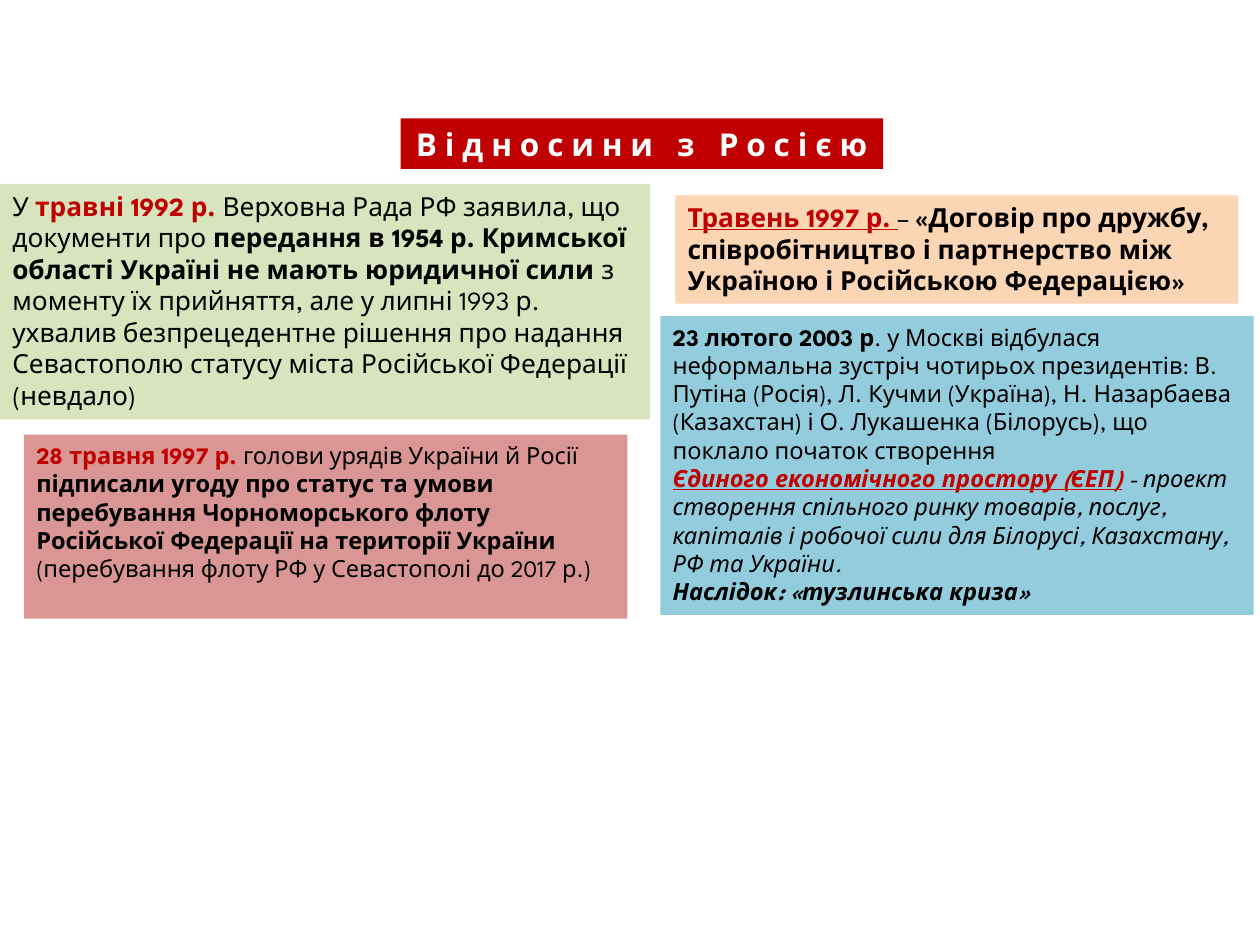
"""Build a slide on the relations between Ukraine and Russia."""
import dataclasses

import pptx
import pptx.dml.color
import pptx.enum.shapes
import pptx.enum.text
import pptx.util

Inches = pptx.util.Inches


@dataclasses.dataclass(frozen=True)
class Theme:
    font: str = "League Spartan"
    text: str = "000000"
    light: str = "FFFFFF"
    accent: str = "C00000"
    green: str = "D7E4BD"
    rose: str = "D99694"
    peach: str = "FCD5B5"
    blue: str = "93CDDD"
    title_size: float = 18
    large_size: float = 15
    body_size: float = 13.5
    title_spacing: int = 450


class SlideBuilder:
    def __init__(self, slide, theme):
        self.slide = slide
        self.theme = theme

    def panel(self, left, top, width, height, fill):
        panel = self.slide.shapes.add_shape(
            pptx.enum.shapes.MSO_SHAPE.RECTANGLE,
            Inches(left), Inches(top), Inches(width), Inches(height))
        panel.shadow.inherit = False
        panel.fill.solid()
        panel.fill.fore_color.rgb = pptx.dml.color.RGBColor.from_string(fill)
        panel.line.fill.background()
        frame = panel.text_frame
        frame.word_wrap = True
        frame.vertical_anchor = pptx.enum.text.MSO_ANCHOR.TOP
        return frame

    def paragraph(self, paragraph, runs, size, color, align):
        paragraph.alignment = align
        paragraph.font.name = self.theme.font
        paragraph.font.size = pptx.util.Pt(size)
        for wording, marks in runs:
            run = paragraph.add_run()
            run.text = wording
            run.font.bold = "b" in marks
            run.font.italic = "i" in marks
            run.font.underline = "u" in marks
            run.font.color.rgb = pptx.dml.color.RGBColor.from_string(
                self.theme.accent if "a" in marks else color)

    def title(self, box, wording):
        frame = self.panel(*box, self.theme.accent)
        heading = frame.paragraphs[0]
        self.paragraph(heading, [(wording, "b")], self.theme.title_size,
                       self.theme.light, pptx.enum.text.PP_ALIGN.CENTER)
        properties = heading.runs[0]._r.get_or_add_rPr()
        properties.set("spc", str(self.theme.title_spacing))

    def event(self, box, fill, size, paragraphs):
        frame = self.panel(*box, fill)
        for index, runs in enumerate(paragraphs):
            paragraph = frame.add_paragraph() if index else frame.paragraphs[0]
            self.paragraph(paragraph, runs, size, self.theme.text,
                           pptx.enum.text.PP_ALIGN.LEFT)


def main():
    theme = Theme()
    presentation = pptx.Presentation()
    presentation.slide_width = Inches(10)
    presentation.slide_height = Inches(7.5)
    slide = presentation.slides.add_slide(presentation.slide_layouts[6])
    builder = SlideBuilder(slide, theme)

    builder.title((3.18, 0.94, 3.83, 0.4), "Відносини з Росією")
    builder.event((0, 1.46, 5.16, 1.87), theme.green, theme.large_size, [[
        ("У ", ""),
        ("травні 1992 р. ", "ab"),
        ("Верховна Рада РФ заявила, що документи про ", ""),
        ("передання в 1954 р. Кримської області Україні "
         "не мають юридичної сили ", "b"),
        ("з моменту їх прийняття, але у липні 1993 р. ухвалив "
         "безпрецедентне рішення про надання Севастополю статусу міста "
         "Російської Федерації (невдало)", ""),
    ]])
    builder.event((0.19, 3.45, 4.79, 1.46), theme.rose, theme.body_size, [[
        ("28 травня 1997 р. ", "ab"),
        ("голови урядів України й Росії ", ""),
        ("підписали угоду про статус та умови перебування Чорноморського "
         "флоту Російської Федерації на території України ", "b"),
        ("(перебування флоту РФ у Севастополі до 2017 р.)", ""),
    ]])
    builder.event((5.36, 1.55, 4.47, 0.86), theme.peach, theme.large_size, [[
        ("Травень 1997 р. ", "abu"),
        ("– ", ""),
        ("«Договір про дружбу, співробітництво і партнерство між Україною "
         "і Російською Федерацією»", "b"),
    ]])
    builder.event((5.24, 2.51, 4.71, 2.37), theme.blue, theme.body_size, [
        [("23 лютого 2003 р", "b"),
         (". у Москві відбулася неформальна зустріч чотирьох президентів: "
          "В. Путіна (Росія), Л. Кучми (Україна), Н. Назарбаева (Казахстан) "
          "і О. Лукашенка (Білорусь), що поклало початок створення", "")],
        [("Єдиного економічного простору (ЄЕП)", "abiu"),
         (" - проект створення спільного ринку товарів, послуг, капіталів "
          "і робочої сили для Білорусі, Казахстану, РФ та України.", "i")],
        [("Наслідок: «тузлинська криза»", "bi")],
    ])
    presentation.save("out.pptx")


if __name__ == "__main__":
    main()
